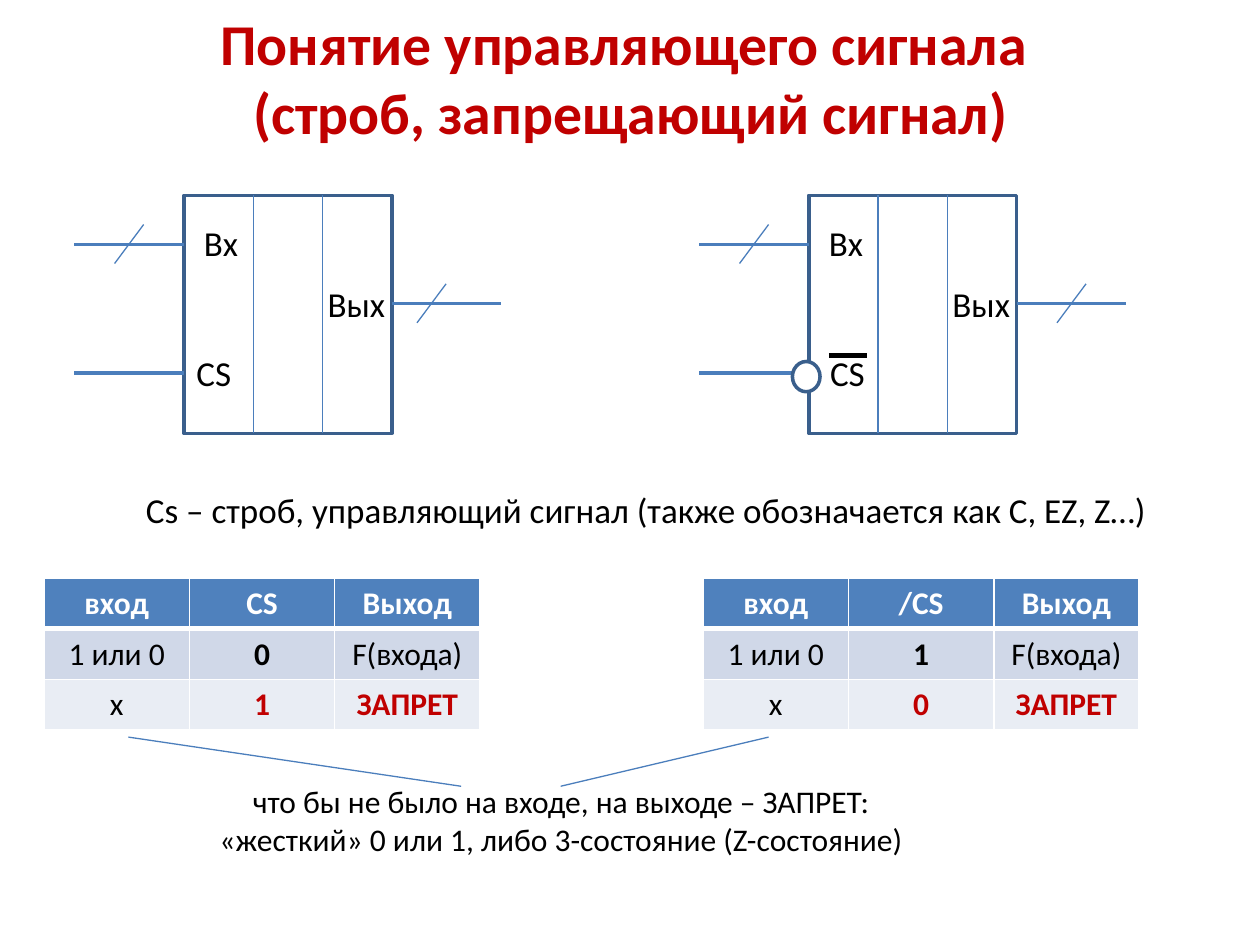
import pptx
import pptx.util
import pptx.dml.color
import pptx.enum.shapes
import pptx.enum.text
import pptx.oxml
import pptx.oxml.ns
from lxml import etree

Pt = pptx.util.Pt
ALIGN = pptx.enum.text.PP_ALIGN
SHAPES = pptx.enum.shapes.MSO_SHAPE
COLORS = {
    "red": "C00000", "black": "000000", "white": "FFFFFF",
    "outline": "3A5F8C", "wire": "4B7EBC",
    "header": "4F81BD", "band": "D0D8E8", "pale": "E9EDF4",
}


def rgb(name):
    return pptx.dml.color.RGBColor.from_string(COLORS[name])


def add_run(paragraph, text, size, color="black", bold=False):
    run = paragraph.add_run()
    run.text = text
    run.font.name = "Calibri"
    run.font.size = Pt(size)
    run.font.bold = bold
    run.font.color.rgb = rgb(color)


def add_label(slide, box, text, size, wrap=False, align=ALIGN.LEFT):
    label = slide.shapes.add_textbox(*map(Pt, box))
    frame = label.text_frame
    frame.word_wrap = wrap
    frame.auto_size = pptx.enum.text.MSO_AUTO_SIZE.SHAPE_TO_FIT_TEXT
    frame.paragraphs[0].alignment = align
    add_run(frame.paragraphs[0], text, size)


def add_line(slide, start, end, width=0.75, color="wire"):
    line = slide.shapes.add_connector(
        pptx.enum.shapes.MSO_CONNECTOR.STRAIGHT, *map(Pt, (*start, *end)))
    line.line.width = Pt(width)
    line.line.color.rgb = rgb(color)
    properties = line._element.spPr
    etree.SubElement(properties, pptx.oxml.ns.qn("a:effectLst"))


def add_outlined(slide, preset, box, fill=None):
    outlined = slide.shapes.add_shape(preset, *map(Pt, box))
    outlined.shadow.inherit = False
    if fill:
        outlined.fill.solid()
        outlined.fill.fore_color.rgb = rgb(fill)
    else:
        outlined.fill.background()
    outlined.line.color.rgb = rgb("outline")
    outlined.line.width = Pt(2)


def add_title(slide, box):
    title = slide.shapes.add_textbox(*map(Pt, box))
    frame = title.text_frame
    frame.word_wrap = True
    frame.vertical_anchor = pptx.enum.text.MSO_ANCHOR.MIDDLE
    heading = frame.paragraphs[0]
    heading.alignment = ALIGN.CENTER
    add_run(heading, "Понятие управляющего сигнала ", 33, "red", True)
    heading.add_line_break()
    add_run(heading, "(строб, запрещающий сигнал)", 33, "red", True)


def add_chip(slide, box, output_slash, inverted=False):
    left, top, width, height = box
    lead = 62.6
    input_y, strobe_y, output_y = top + 28, top + 101.5, top + 61.9

    add_outlined(slide, SHAPES.RECTANGLE, box)
    for wire_y in (input_y, strobe_y):
        add_line(slide, (left - lead, wire_y), (left, wire_y), 2)
    for third in (1, 2):
        divider = left + width * third / 3
        add_line(slide, (divider, top), (divider, top + height))
    right = left + width
    add_line(slide, (right, output_y), (right + lead, output_y), 2)
    for slash_x, wire_y in ((left - 39.6, input_y), (right + output_slash, output_y)):
        add_line(slide, (slash_x, wire_y + 11), (slash_x + 16.6, wire_y - 11.3))

    add_label(slide, (left + 4.3, top + 11.5, 34.6, 31.7), "Вх", 20)
    add_label(slide, (left + 75, top + 46.1, 47.5, 31.7), "Вых", 20)
    strobe_x = left + (5 if inverted else 0)
    add_label(slide, (strobe_x, top + 85.7, 34.6, 31.7), "СS", 20)
    if inverted:
        add_outlined(slide, SHAPES.OVAL, (left - 9.4, top + 95, 15.8, 17.3), "white")
        add_line(slide, (left + 11.5, top + 91.4), (left + 33.1, top + 91.4), 3, "black")


def add_borders(cell, bottom):
    properties = cell._tc.get_or_add_tcPr()
    for side, width in (("L", 1), ("R", 1), ("T", 1), ("B", bottom)):
        properties.append(pptx.oxml.parse_xml(
            f'<a:ln{side} {pptx.oxml.ns.nsdecls("a")} w="{int(Pt(width))}">'
            f'<a:solidFill><a:srgbClr val="{COLORS["white"]}"/></a:solidFill>'
            f'</a:ln{side}>'))


def add_truth_table(slide, box, strobe, allow, forbid):
    rows = (("вход", strobe, "Выход"),
            ("1 или 0", allow, "F(входа)"),
            ("х", forbid, "ЗАПРЕТ"))
    truth = slide.shapes.add_table(3, 3, *map(Pt, box)).table
    for column in truth.columns:
        column.width = Pt(box[2] / 3)
    for r, (row, fill) in enumerate(zip(rows, ("header", "band", "pale"))):
        truth.rows[r].height = Pt(box[3] / 3)
        for c, text in enumerate(row):
            cell = truth.cell(r, c)
            add_borders(cell, 3 if r == 0 else 1)
            cell.fill.solid()
            cell.fill.fore_color.rgb = rgb(fill)
            forbidden = r == 2 and c > 0
            color = "white" if r == 0 else "red" if forbidden else "black"
            entry = cell.text_frame.paragraphs[0]
            entry.alignment = ALIGN.CENTER
            add_run(entry, text, 18, color, r == 0 or c == 1 or forbidden)


def add_conclusion(slide, box):
    left, top, width, height = box
    for table_x, note_x in ((-39.6, 150.5), (326.2, 207.4)):
        add_line(slide, (left + table_x, top - 22.3), (left + note_x, top + 5.8))
    add_label(slide, box,
              "что бы не было на входе, на выходе – ЗАПРЕТ: "
              "«жесткий» 0 или 1, либо 3-состояние (Z-состояние)",
              18, True, ALIGN.CENTER)


def main():
    deck = pptx.Presentation()
    deck.slide_width, deck.slide_height = Pt(720), Pt(540)
    slide = deck.slides.add_slide(deck.slide_layouts[6])
    add_title(slide, (11.5, 20.9, 697.7, 46.1))
    add_chip(slide, (105.1, 111.6, 118.8, 136.1), 14.4)
    add_chip(slide, (462.2, 111.6, 118.8, 136.1), 23, True)
    add_label(slide, (76.3, 275.8, 595.4, 31.7),
              "Сs – строб, управляющий сигнал (также обозначается как C, EZ, Z…)", 20)
    add_truth_table(slide, (25.2, 330.5, 249.1, 86.4), "СS", "0", "1")
    add_truth_table(slide, (401.8, 330.5, 249.1, 86.4), "/СS", "1", "0")
    add_conclusion(slide, (113, 443.5, 415.4, 51.1))
    deck.save("out.pptx")


if __name__ == "__main__":
    main()
